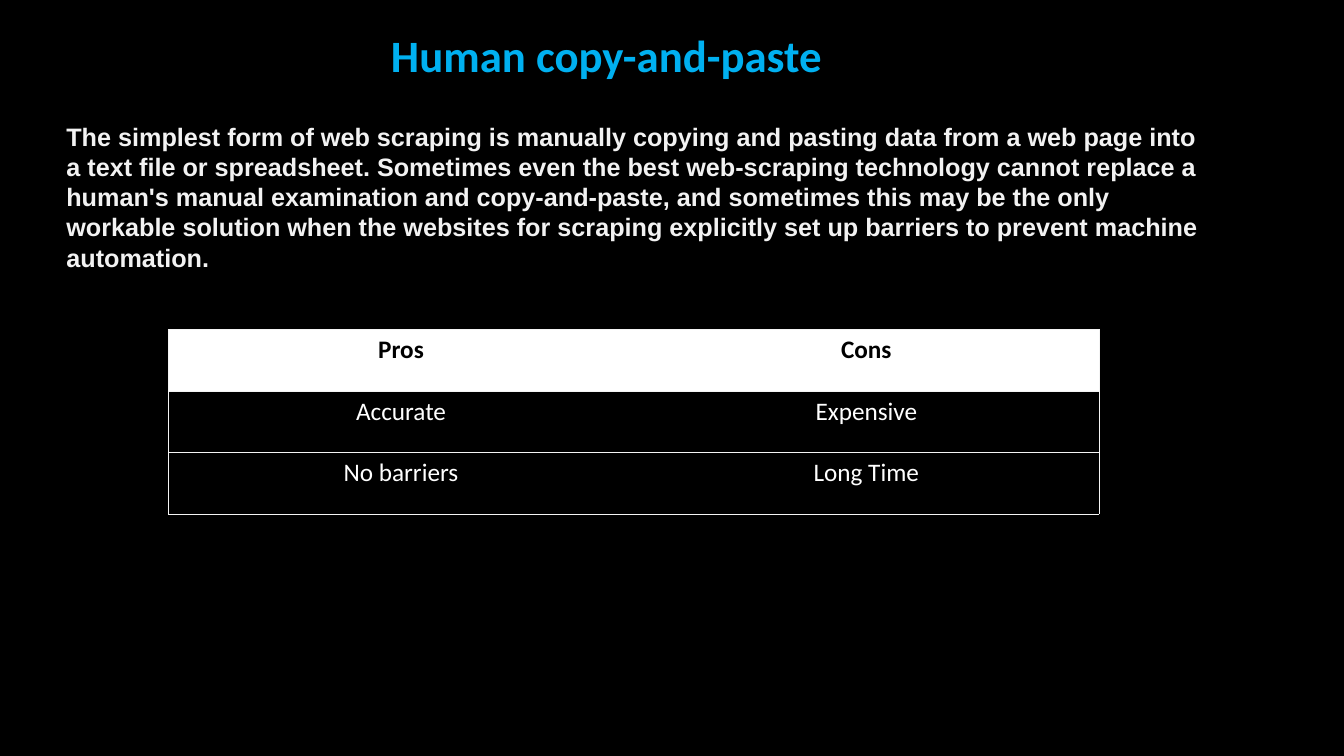
from lxml import etree
from pptx import Presentation, util as u
from pptx.dml.color import RGBColor
from pptx.enum import text
from pptx.oxml.ns import qn

TITLE = "Human copy-and-paste"
BODY = (
    "The simplest form of web scraping is manually copying and pasting data from a web page "
    "into a text file or spreadsheet. Sometimes even the best web-scraping technology cannot "
    "replace a human's manual examination and copy-and-paste, and sometimes this may be the "
    "only workable solution when the websites for scraping explicitly set up barriers to "
    "prevent machine automation."
)
ROWS = [("Pros", "Cons"), ("Accurate", "Expensive"), ("No barriers", "Long Time")]
BORDER = "F4F4F4"


def rgb(value):
    """Turn a hex string into a colour."""
    return RGBColor.from_string(value)


def write(tf, words, size=18, font="Calibri", color="FFFFFF", bold=False, align=None):
    """Put one formatted run into a text frame."""
    p = tf.paragraphs[0]
    p.alignment = align
    r = p.add_run()
    r.text = words
    r.font.size = u.Pt(size)
    r.font.name = font
    r.font.bold = bold
    r.font.color.rgb = rgb(color)


def add_text(s, box, words, **style):
    """Add a wrapping text box that fills the given box."""
    tf = s.shapes.add_textbox(*map(u.Inches, box)).text_frame
    tf.word_wrap = True
    tf.auto_size = text.MSO_AUTO_SIZE.SHAPE_TO_FIT_TEXT
    write(tf, words, **style)


def set_borders(cell, visible):
    """Draw the visible sides of a cell and clear the others."""
    tcPr = cell._tc.get_or_add_tcPr()
    for side in "LRTB":
        ln = etree.SubElement(tcPr, qn(f"a:ln{side}"), w=str(u.Pt(0.75)))
        if side in visible:
            fill = etree.SubElement(ln, qn("a:solidFill"))
            etree.SubElement(fill, qn("a:srgbClr"), val=BORDER)
        else:
            etree.SubElement(ln, qn("a:noFill"))


def add_pros_cons(s, box, rows):
    """Add the table with equal columns and rows in the given box."""
    n_cols = len(rows[0])
    frame = s.shapes.add_table(len(rows), n_cols, *map(u.Inches, box))
    for i, row in enumerate(rows):
        header = i == 0
        for j, words in enumerate(row):
            cell = frame.table.cell(i, j)
            outer = ("L" if j == 0 else "") + ("R" if j == n_cols - 1 else "")
            set_borders(cell, "TB" + outer)
            cell.fill.solid()
            cell.fill.fore_color.rgb = rgb("FFFFFF" if header else "000000")
            write(cell.text_frame, words, bold=header,
                  color="000000" if header else "FFFFFF", align=text.PP_ALIGN.CENTER)


def main():
    """Build the slide and save it."""
    prs = Presentation()
    prs.slide_width, prs.slide_height = u.Inches(13.33), u.Inches(7.5)
    s = prs.slides.add_slide(prs.slide_layouts[6])
    s.background.fill.solid()
    s.background.fill.fore_color.rgb = rgb("000000")
    add_text(s, (3.78, 0.23, 5.76, 0.64), TITLE, size=32, color="00B0F0", bold=True)
    add_text(s, (0.56, 1.15, 11.45, 1.62), BODY, font="Arial", color="F2F2F2", bold=True)
    add_pros_cons(s, (1.67, 3.27, 9.23, 1.83), ROWS)
    prs.save("out.pptx")


if __name__ == "__main__":
    main()
